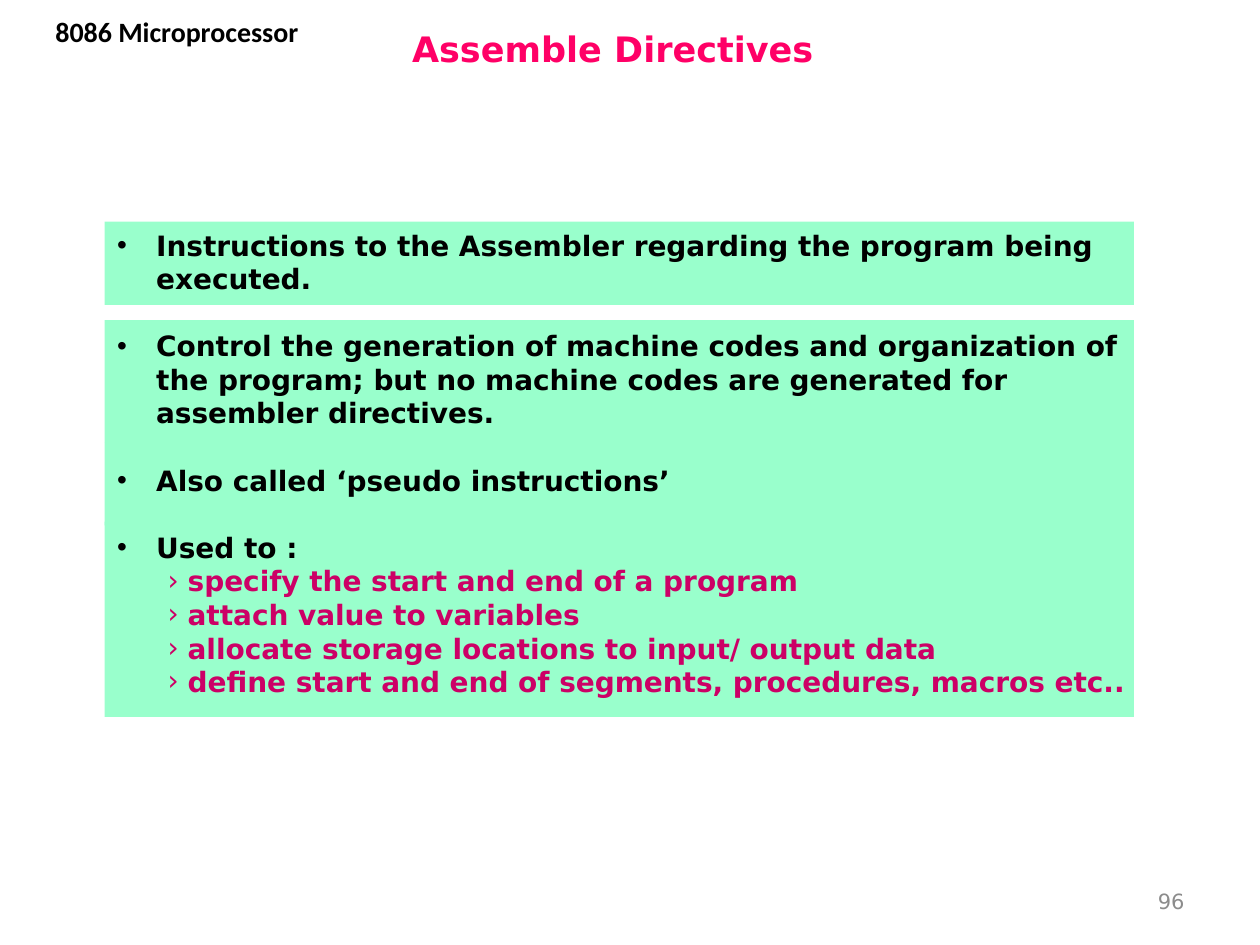
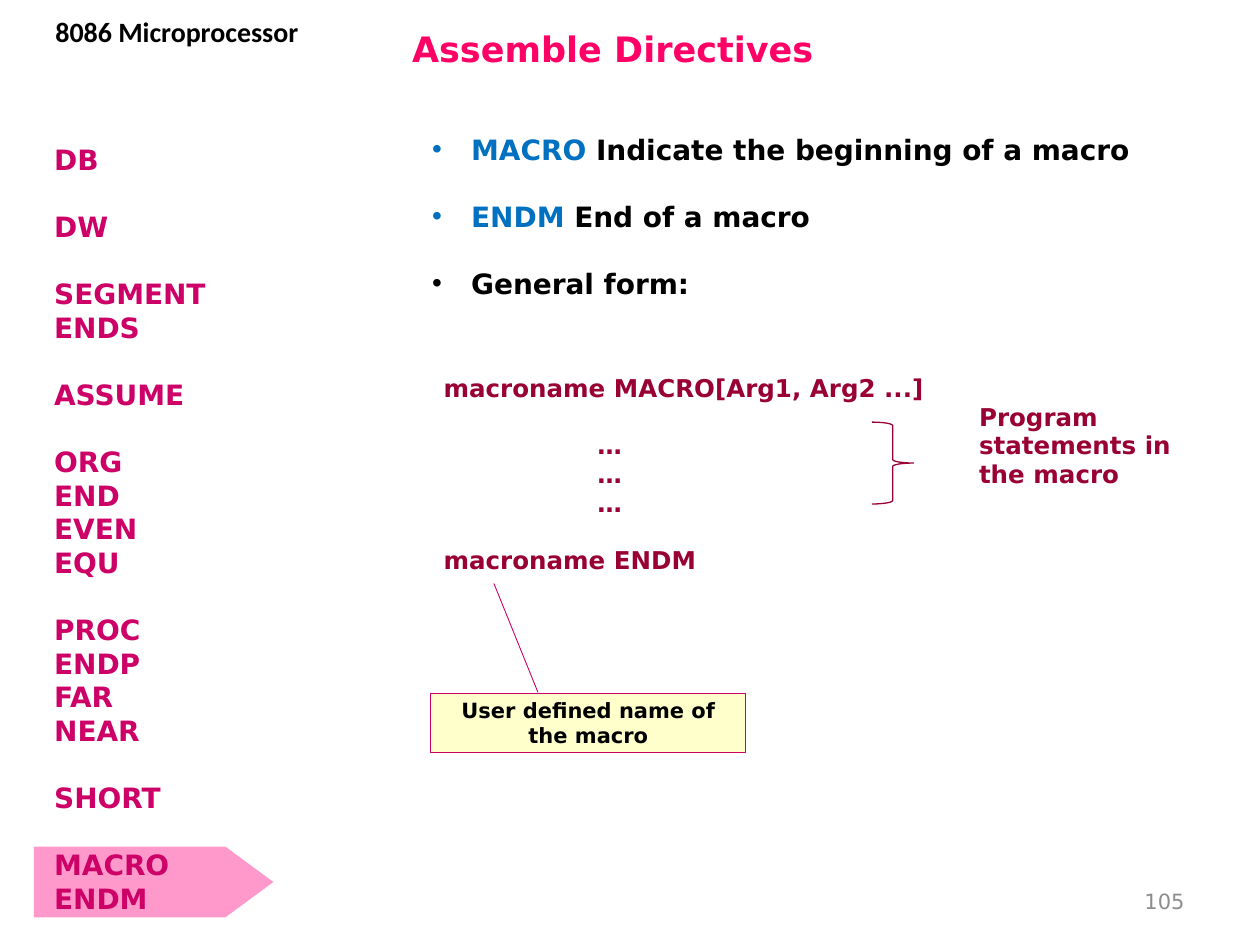
import pptx
import pptx.dml.color
import pptx.enum.shapes
import pptx.enum.text
import pptx.oxml
import pptx.oxml.ns
import pptx.util

PX = 9144
SANS = "DejaVu Sans"
BLACK, WHITE, GREY = "000000", "FFFFFF", "8C8C8C"
ROSE, PINK, WINE, BLUE = "FF0066", "CC0066", "990033", "0070C0"
MINT, BLUSH, CREAM = "99FFCC", "FF99CC", "FFFFCC"
BLANK_16, BLANK_14 = 19.2, 16.5

ALIGN = pptx.enum.text.PP_ALIGN
ANCHOR = pptx.enum.text.MSO_ANCHOR
SHAPE = pptx.enum.shapes.MSO_SHAPE


def color(value):
    return pptx.dml.color.RGBColor.from_string(value)


def px(*lengths):
    return [length * PX for length in lengths]


def apply(target, values):
    for name, value in values.items():
        setattr(target, name, value)


def font(size, hue, bold=True, name=SANS):
    return {"size": size, "hue": hue, "bold": bold, "name": name}


def line(*spans, gap=0, left=0, hang=0, mark=None, align=ALIGN.LEFT):
    return {"spans": spans, "gap": gap, "left": left, "hang": hang, "mark": mark, "align": align}


def bullet(*spans, gap=BLANK_16):
    return line(*spans, gap=gap, left=31, hang=31, mark=("Arial", "•"))


def arrow_item(text):
    return line((text, PINK), left=56, hang=16, mark=(SANS, "›"))


class Slides:
    def __init__(self):
        self.deck = pptx.Presentation()
        apply(self.deck, {"slide_width": 1000 * PX, "slide_height": 750 * PX})
        self.page = None

    def start(self, layout, number):
        self.page = self.deck.slides.add_slide(self.deck.slide_layouts[layout])
        self.fill_placeholder(0, (317, 12, 658, 53), [line("Assemble Directives")],
                              font(20, ROSE), ANCHOR.MIDDLE)
        self.text((717, 695, 233, 40), [line(number, align=ALIGN.RIGHT)],
                  font(12, GREY, False), ANCHOR.MIDDLE)
        self.text((7, 7, 267, 64), [line("8086 Microprocessor", align=ALIGN.CENTER)],
                  font(16, BLACK, name="Calibri"))

    def add_lines(self, frame, lines, style):
        for index, item in enumerate(lines):
            para = frame.add_paragraph() if index else frame.paragraphs[0]
            self.set_bullet(para, item)
            apply(para, {"alignment": item["align"],
                         "space_before": pptx.util.Pt(item["gap"]),
                         "space_after": pptx.util.Pt(0)})
            for part in item["spans"]:
                text, hue = (part, style["hue"]) if isinstance(part, str) else part
                span = para.add_run()
                span.text = text
                apply(span.font, {"size": pptx.util.Pt(style["size"]),
                                  "bold": style["bold"], "name": style["name"]})
                span.font.color.rgb = color(hue)

    def set_bullet(self, para, item):
        properties = para._p.get_or_add_pPr()
        properties.set("marL", str(item["left"] * PX))
        properties.set("indent", str(-item["hang"] * PX))
        tags = [("buNone", {})]
        if item["mark"]:
            typeface, char = item["mark"]
            tags = [("buFont", {"typeface": typeface}), ("buChar", {"char": char})]
        for tag, values in tags:
            node = pptx.oxml.parse_xml(f'<a:{tag} {pptx.oxml.ns.nsdecls("a")}/>')
            for name, value in values.items():
                node.set(name, value)
            properties.append(node)

    def fill_frame(self, frame, lines, style, anchor):
        apply(frame, {"word_wrap": True, "vertical_anchor": anchor,
                      "auto_size": pptx.enum.text.MSO_AUTO_SIZE.NONE})
        self.add_lines(frame, lines, style)

    def fill_placeholder(self, index, area, lines, style, anchor=ANCHOR.TOP):
        box = self.page.placeholders[index]
        apply(box, dict(zip(("left", "top", "width", "height"), px(*area))))
        self.fill_frame(box.text_frame, lines, style, anchor)

    def text(self, area, lines, style, anchor=ANCHOR.TOP):
        box = self.page.shapes.add_textbox(*px(*area))
        self.fill_frame(box.text_frame, lines, style, anchor)

    def shape(self, kind, area, fill=None, outline=None, weight=1, turn=0):
        box = self.page.shapes.add_shape(kind, *px(*area))
        box.shadow.inherit = False
        box.rotation = turn
        if fill:
            box.fill.solid()
            box.fill.fore_color.rgb = color(fill)
        else:
            box.fill.background()
        if outline:
            box.line.color.rgb = color(outline)
            box.line.width = pptx.util.Pt(weight)
        else:
            box.line.fill.background()
        return box

    def backdrop(self, kind, area, fill, turn=0):
        box = self.shape(kind, area, fill, turn=turn)
        box.element.getparent().insert(2, box.element)

    def table(self, area, widths, cells, style):
        table = self.page.shapes.add_table(1, len(widths), *px(*area)).table
        for index, (width, (top, lines)) in enumerate(zip(widths, cells)):
            table.columns[index].width = width * PX
            cell = table.cell(0, index)
            cell.fill.solid()
            cell.fill.fore_color.rgb = color(WHITE)
            cell.margin_top = top * PX
            self.add_lines(cell.text_frame, lines, style)


def purpose_slide(slides):
    slides.start(1, "96")
    for top, height in ((414, 155), (351, 66), (254, 97), (176, 66)):
        slides.backdrop(SHAPE.RECTANGLE, (83, top, 817, height), MINT)
    uses = ["specify the start and end of a program",
            "attach value to variables",
            "allocate storage locations to input/ output data",
            "define start and end of segments, procedures, macros etc.."]
    points = [
        bullet("Instructions to the Assembler regarding the program being executed.", gap=0),
        bullet("Control the generation of machine codes and organization of the program; "
               "but no machine codes are generated for assembler directives."),
        bullet("Also called ‘pseudo instructions’"),
        bullet("Used to :"),
    ]
    slides.fill_placeholder(1, (83, 176, 858, 441), points + [arrow_item(use) for use in uses],
                            font(16, BLACK))


def macro_slide(slides):
    slides.start(3, "105")
    slides.backdrop(SHAPE.FLOWCHART_OFFPAGE_CONNECTOR, (94, 605, 56, 190), BLUSH, turn=270)

    groups = ["DB", "DW", "SEGMENT ENDS", "ASSUME", "ORG END EVEN EQU",
              "PROC ENDP FAR NEAR", "SHORT", "MACRO ENDM"]
    directives = [line(word, gap=BLANK_16 if order and not place else 0)
                  for order, group in enumerate(groups)
                  for place, word in enumerate(group.split())]
    slides.fill_placeholder(1, (33, 108, 163, 629), directives, font(16, PINK))

    slides.fill_placeholder(2, (333, 100, 617, 145), [
        bullet(("MACRO", BLUE), " Indicate the beginning of a macro", gap=0),
        bullet(("ENDM", BLUE), " End of a macro"),
        bullet("General form:"),
    ], font(16, BLACK))

    dots = [line("…", left=122, gap=gap) for gap in (BLANK_14, 0, 0)]
    form = [line("macroname MACRO[Arg1, Arg2 ...]"), *dots,
            line("macroname ENDM", gap=BLANK_14)]
    slides.table((342, 292, 625, 173), (425, 200),
                 [(5, form), (28, [line("Program statements in the macro")])],
                 font(14, WINE))

    slides.shape(SHAPE.RIGHT_BRACE, (692, 335, 33, 65), outline=WINE, weight=0.75)
    callout = slides.shape(SHAPE.LINE_CALLOUT_1, (342, 550, 250, 47), CREAM, PINK, 0.5)
    for index, value in enumerate((-0.01, 0.34, -1.85, 0.2)):
        callout.adjustments[index] = value
    slides.fill_frame(callout.text_frame,
                      [line("User defined name of the macro", align=ALIGN.CENTER)],
                      font(12, BLACK), ANCHOR.MIDDLE)


def main():
    slides = Slides()
    purpose_slide(slides)
    macro_slide(slides)
    slides.deck.save("out.pptx")


if __name__ == "__main__":
    main()
